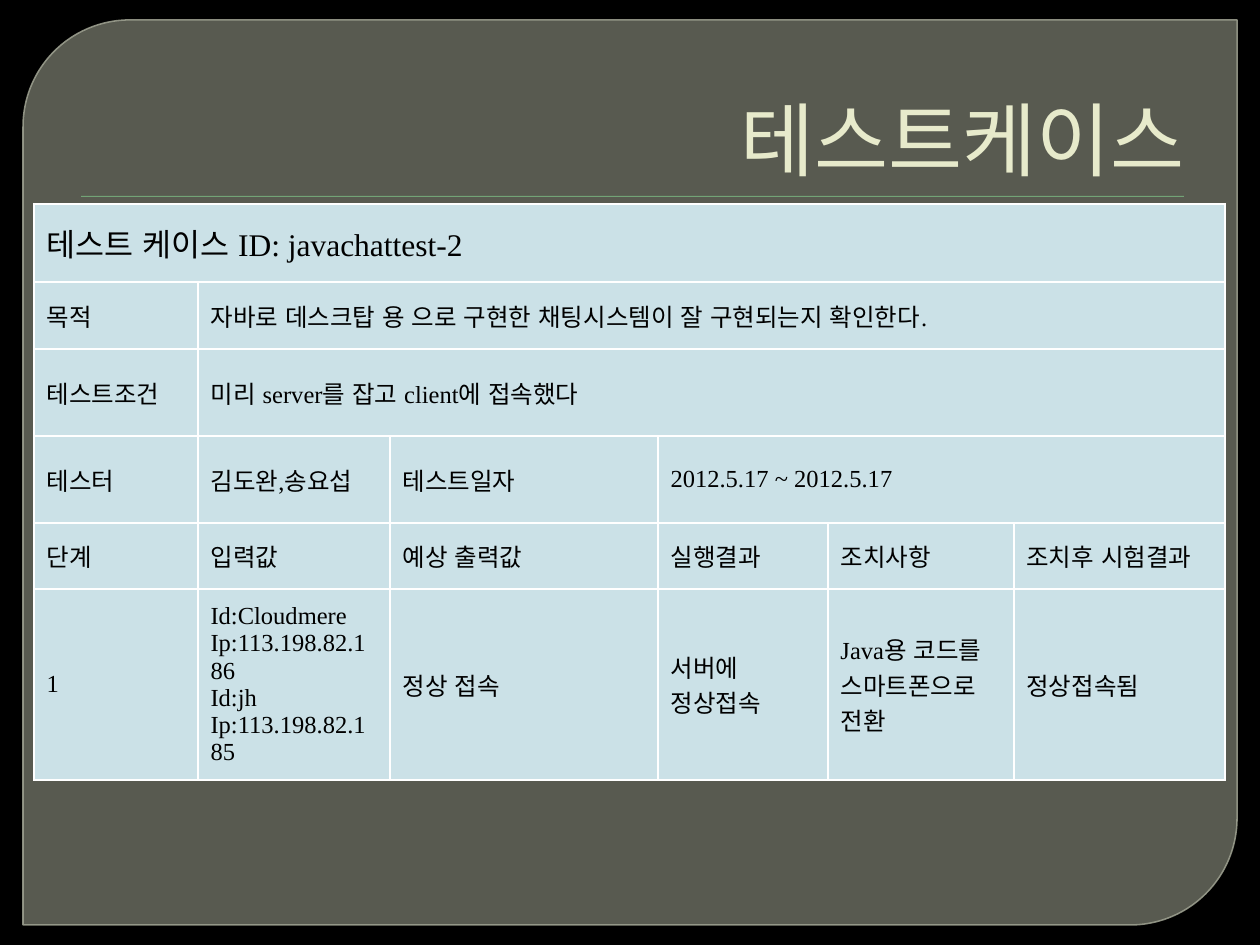
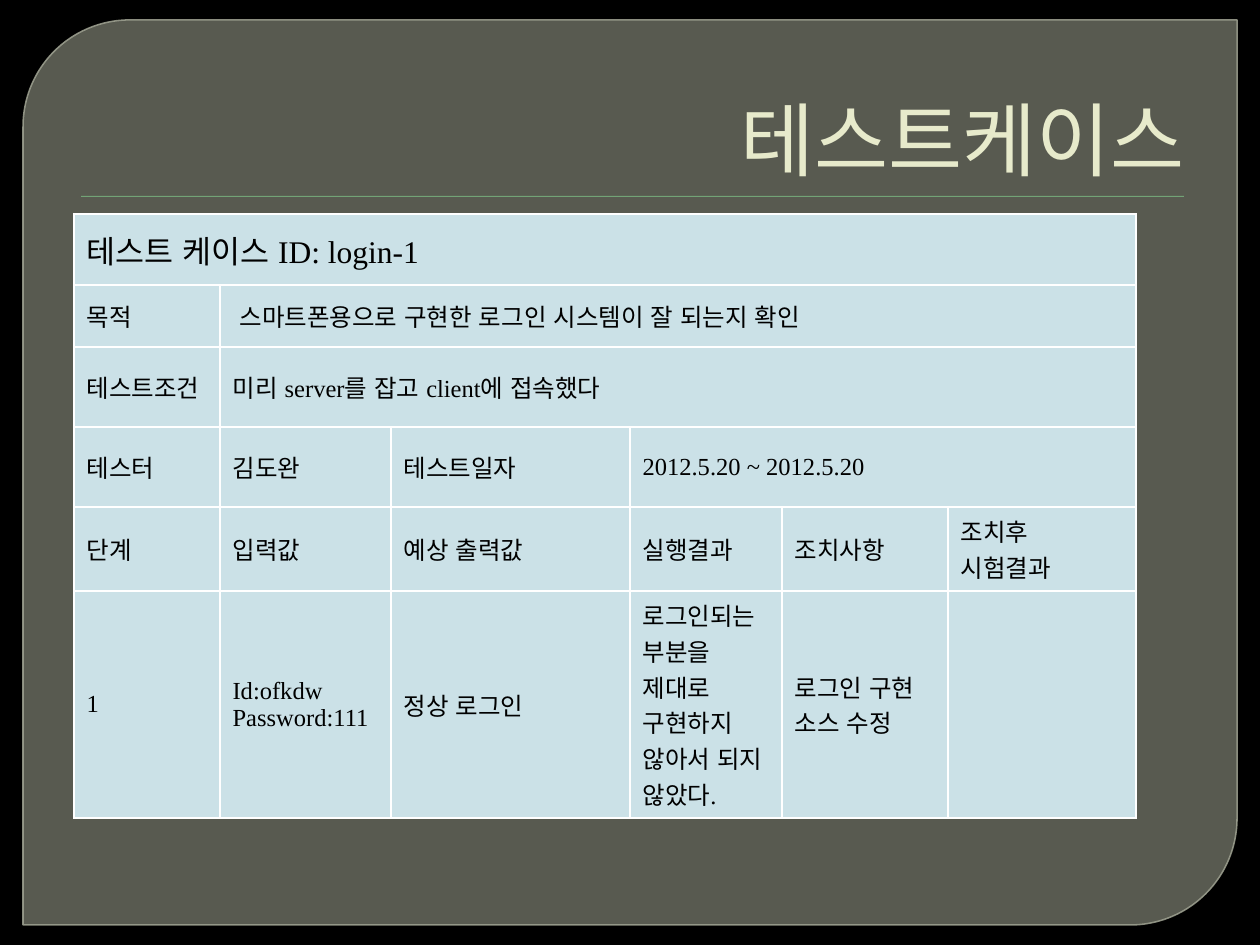
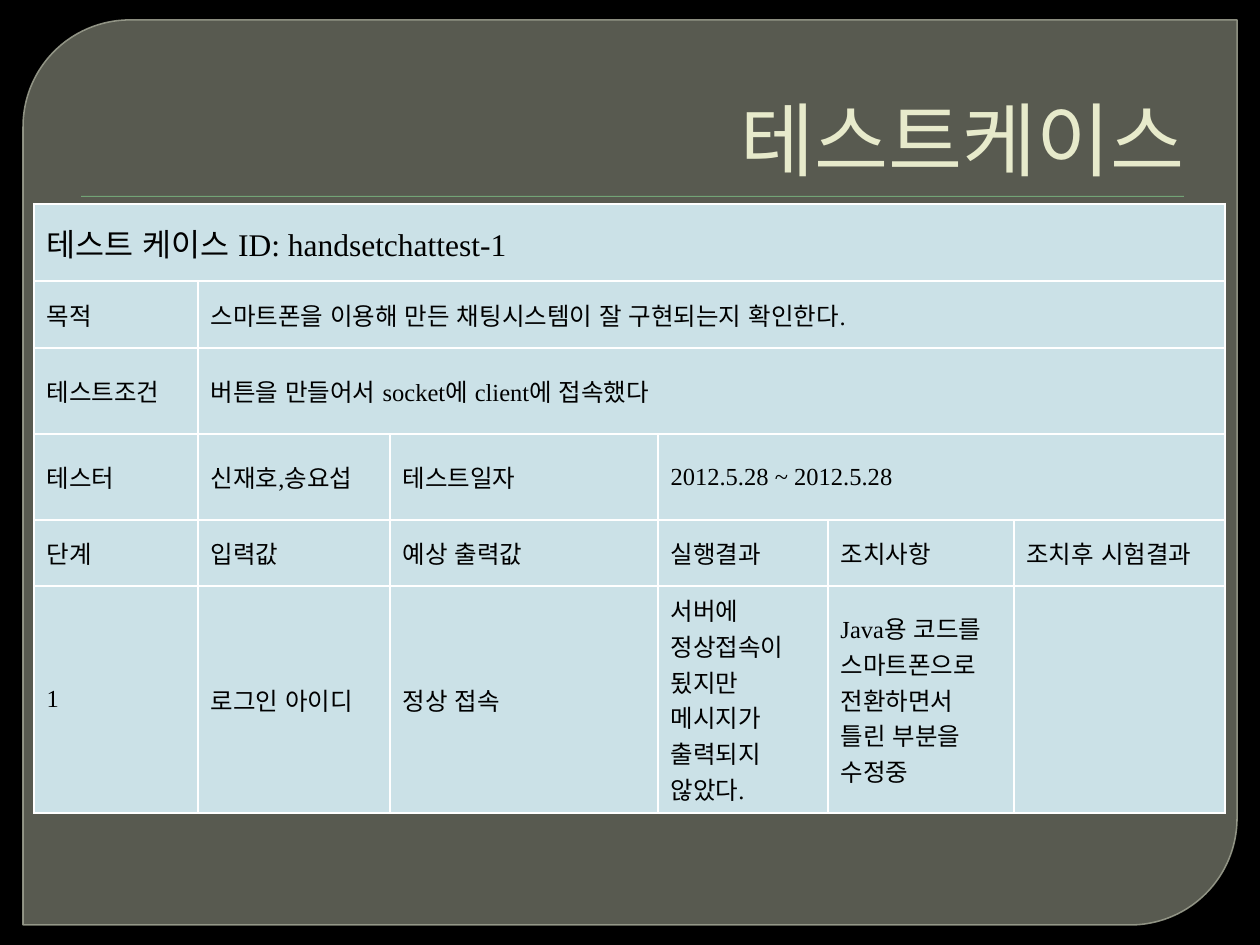
import pptx
import pptx.util
import pptx.dml.color
import pptx.enum.lang
import pptx.enum.shapes
import pptx.enum.text
import pptx.oxml
import pptx.oxml.ns

RGB = pptx.dml.color.RGBColor
SHAPE = pptx.enum.shapes.MSO_SHAPE
ANCHOR = pptx.enum.text.MSO_ANCHOR
ALIGN = pptx.enum.text.PP_ALIGN
KOREAN = pptx.enum.lang.MSO_LANGUAGE_ID.KOREAN
Pt = pptx.util.Pt

BLACK = RGB(0x00, 0x00, 0x00)
WHITE = RGB(0xFF, 0xFF, 0xFF)
PANEL = RGB(0x88, 0x8B, 0x7B)
EDGE = RGB(0x9D, 0xA0, 0x90)
RULE = RGB(0x72, 0xA3, 0x76)
CREAM = RGB(0xE7, 0xEA, 0xCB)
CELL = RGB(0xCB, 0xE1, 0xE7)

SCALE = 914400 / 126
HEAD = {"name": "Arial", "size": Pt(46), "language_id": KOREAN}
LARGE = {"name": "Times New Roman", "size": Pt(18), "language_id": KOREAN}
SMALL = {**LARGE, "size": Pt(14)}
NS = pptx.oxml.ns.nsdecls("a")

WIDE = (34, 204, [164, 192, 268, 170, 186, 211])
SLIM = (74, 214, [146, 171, 239, 152, 166, 188])
STEPS = ["단계", "입력값", "예상 출력값", "실행결과", "조치사항", "조치후 시험결과"]

CASES = [
    {
        "place": WIDE,
        "highs": [78, 67, 87, 87, 66, 191],
        "id": "javachattest-2",
        "goal": "자바로 데스크탑 용 으로 구현한 채팅시스템이 잘 구현되는지 확인한다.",
        "terms": "미리 server를 잡고 client에 접속했다",
        "who": "김도완,송요섭",
        "date": "2012.5.17 ~ 2012.5.17",
        "run": ["1", "Id:Cloudmere\nIp:113.198.82.186\nId:jh\nIp:113.198.82.185",
                "정상 접속", "서버에 정상접속", "Java용 코드를 스마트폰으로 전환", "정상접속됨"],
    },
    {
        "place": SLIM,
        "highs": [71, 62, 80, 80, 84, 227],
        "id": "login-1",
        "goal": " 스마트폰용으로 구현한 로그인 시스템이 잘 되는지 확인",
        "terms": "미리 server를 잡고 client에 접속했다",
        "who": "김도완",
        "date": "2012.5.20 ~ 2012.5.20",
        "run": ["1", "Id:ofkdw\nPassword:111", "정상 로그인",
                "로그인되는 부분을 제대로 구현하지 않아서 되지 않았다.",
                "로그인 구현 소스 수정", ""],
    },
    {
        "place": WIDE,
        "highs": [77, 67, 86, 86, 66, 227],
        "id": "handsetchattest-1",
        "goal": "스마트폰을 이용해 만든 채팅시스템이 잘 구현되는지 확인한다.",
        "terms": "버튼을 만들어서 socket에 client에 접속했다",
        "who": "신재호,송요섭",
        "date": "2012.5.28 ~ 2012.5.28",
        "run": ["1", "로그인 아이디", "정상 접속",
                "서버에 정상접속이 됬지만 메시지가 출력되지 않았다.",
                "Java용 코드를 스마트폰으로 전환하면서 틀린 부분을 수정중", ""],
    },
]


def px(*nums):
    return [round(num * SCALE) for num in nums]


def put(thing, vals):
    for key, val in vals.items():
        setattr(thing, key, val)


def fade(node, part):
    for color in node.iter(pptx.oxml.ns.qn("a:srgbClr")):
        color.append(pptx.oxml.parse_xml(f'<a:alpha {NS} val="{part * 1000}"/>'))


class Deck:
    def __init__(self):
        self.file = pptx.Presentation()
        wide, high = px(1260, 945)
        put(self.file, {"slide_width": wide, "slide_height": high})

    def page(self):
        self.slide = self.file.slides.add_slide(self.file.slide_layouts[6])
        fill = self.slide.background.fill
        fill.solid()
        fill.fore_color.rgb = BLACK

    def shape(self, kind, box, color):
        shape = self.slide.shapes.add_shape(kind, *px(*box))
        shape.shadow.inherit = False
        shape.fill.solid()
        shape.fill.fore_color.rgb = color
        shape.line.fill.background()
        return shape

    def panel(self):
        shape = self.shape(SHAPE.ROUND_2_DIAG_RECTANGLE, (23, 20, 1214, 905), PANEL)
        shape.adjustments[0] = 0.118
        fade(shape.element.spPr, 65)
        shape.line.color.rgb = EDGE
        shape.line.width = Pt(0.87)
        fade(shape.element.spPr.ln, 88)

    def rule(self):
        shape = self.shape(SHAPE.RECTANGLE, (81, 196, 1103, 1), RULE)
        effects = shape.element.spPr.find(pptx.oxml.ns.qn("a:effectLst"))
        effects.append(pptx.oxml.parse_xml(
            f'<a:outerShdw {NS} blurRad="12700" dist="12700" dir="5400000">'
            '<a:srgbClr val="000000"/></a:outerShdw>'))
        fade(effects, 75)

    def text(self, para, words, style, color):
        run = para.add_run()
        run.text = words
        put(run.font, style)
        run.font.color.rgb = color

    def title(self, words):
        frame = self.slide.shapes.add_textbox(*px(63, 35, 1134, 158)).text_frame
        put(frame, {"word_wrap": True, "vertical_anchor": ANCHOR.BOTTOM})
        para = frame.paragraphs[0]
        para.alignment = ALIGN.RIGHT
        self.text(para, words, HEAD, CREAM)

    def cell(self, cell, words, style):
        cell.vertical_anchor = ANCHOR.MIDDLE
        props = cell._tc.get_or_add_tcPr()
        for side in "LRTB":
            props.append(pptx.oxml.parse_xml(
                f'<a:ln{side} {NS} w="12700"><a:solidFill>'
                f'<a:srgbClr val="{WHITE}"/></a:solidFill></a:ln{side}>'))
        cell.fill.solid()
        cell.fill.fore_color.rgb = CELL
        for at, line in enumerate(words.split("\n") if words else []):
            frame = cell.text_frame
            para = frame.add_paragraph() if at else frame.paragraphs[0]
            self.text(para, line, style, BLACK)

    def table(self, place, highs, rows):
        left, top, wides = place
        box = px(left, top, sum(wides), sum(highs))
        table = self.slide.shapes.add_table(len(highs), len(wides), *box).table
        put(table, {"first_row": False, "horz_banding": False})
        for col, wide in zip(table.columns, px(*wides)):
            col.width = wide
        for row, high in zip(table.rows, px(*highs)):
            row.height = high
        last = len(wides) - 1
        for at, row in enumerate(rows):
            style = SMALL if at else LARGE
            for col in range(len(wides)):
                words = row[col] if col < len(row) else ""
                self.cell(table.cell(at, col), words, style)
            if len(row) <= last:
                table.cell(at, len(row) - 1).merge(table.cell(at, last))


def main():
    deck = Deck()
    for case in CASES:
        deck.page()
        deck.panel()
        deck.rule()
        deck.title("테스트케이스")
        deck.table(case["place"], case["highs"], [
            [f"테스트 케이스 ID: {case['id']}"],
            ["목적", case["goal"]],
            ["테스트조건", case["terms"]],
            ["테스터", case["who"], "테스트일자", case["date"]],
            STEPS,
            case["run"],
        ])
    deck.file.save("out.pptx")


if __name__ == "__main__":
    main()
